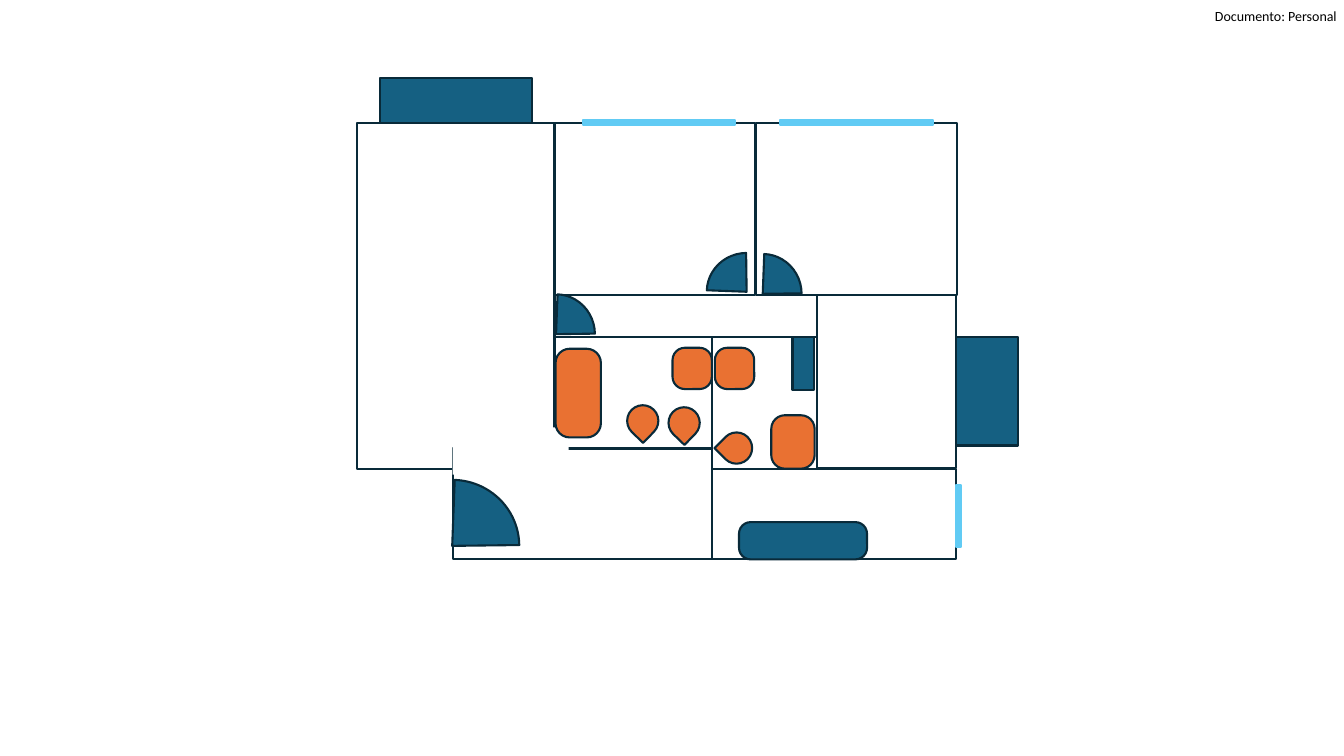
from pptx import Presentation
from pptx.dml.color import RGBColor
from pptx.enum.shapes import MSO_SHAPE as Shape
from pptx.util import Pt

EMU_PER_PX = 9144  # 100 px to the inch

WALL = RGBColor(0x09, 0x2A, 0x39)
BLUE = RGBColor(0x15, 0x60, 0x82)
ORANGE = RGBColor(0xE9, 0x71, 0x32)
SKY = RGBColor(0x61, 0xCB, 0xF4)
WHITE = RGBColor(0xFF, 0xFF, 0xFF)
BLACK = RGBColor(0, 0, 0)

LABEL = "Documento: Personal"
LABEL_BOX = (1205, 7, 125, 17)

CORNER = [0.313]
DOOR_SWING = [55.299, 107.568]  # quarter circle

# Boxes are left, top, width, height in px
ROOMS = [
    (750, 122, 199, 171),
    (810, 293, 138, 171),
    (706, 334, 104, 131),
    (550, 122, 199, 171),
    (354, 122, 196, 343),
    (449, 444, 257, 111),
    (706, 465, 242, 90),
    (550, 334, 156, 111),
]
OPENING = (449, 424, 115, 47)
BLUE_BLOCKS = [
    (948, 334, 62, 108),
    (377, 77, 151, 45),
    (786, 334, 21, 53),
]
WINDOWS = [
    (578, 119, 151, 5),
    (774, 119, 151, 5),
    (948, 481, 5, 62),
]
SOFA = (733, 518, 127, 37)
ORANGE_FURNITURE = [
    (551, 346, 45, 88),
    (667, 345, 39, 41),
    (709, 345, 39, 41),
    (765, 412, 43, 53),
]
# Box, rotation in degrees
BASINS = [
    ((622, 402, 31, 31), 134.1),
    ((663, 404, 31, 31), 134.1),
    ((715, 429, 31, 31), 225),
]
DOORS = [
    ((382, 476, 133, 131), 180),
    ((513, 292, 77, 79), 180),
    ((702, 250, 77, 79), 90),
    ((718, 252, 77, 79), 180),
]


def px(*lengths):
    return [n * EMU_PER_PX for n in lengths]


def add_part(slide, kind, box, fill=None, line=WALL, rotation=0, adjust=()):
    """Add one part of the plan; None leaves the fill or line empty."""
    sp = slide.shapes.add_shape(kind, *px(*box))
    sp.shadow.inherit = False
    sp.rotation = rotation
    for i, value in enumerate(adjust):
        sp.adjustments[i] = value
    if fill is None:
        sp.fill.background()
    else:
        sp.fill.solid()
        sp.fill.fore_color.rgb = fill
    if line is None:
        sp.line.fill.background()
    else:
        sp.line.color.rgb = line
        sp.line.width = Pt(1.5)


def add_label(slide):
    tf = slide.shapes.add_textbox(*px(*LABEL_BOX)).text_frame
    tf.margin_left = tf.margin_right = tf.margin_top = tf.margin_bottom = 0
    tf.word_wrap = False
    p = tf.paragraphs[0]
    p.text = LABEL
    p.font.name = "Calibri"
    p.font.size = Pt(10)
    p.font.color.rgb = BLACK


def main():
    prs = Presentation()
    prs.slide_width, prs.slide_height = px(1333, 750)
    slide = prs.slides.add_slide(prs.slide_layouts[6])

    add_label(slide)
    for box in ROOMS:
        add_part(slide, Shape.RECTANGLE, box)
    add_part(slide, Shape.RECTANGLE, OPENING, WHITE, None)
    for box, rotation in DOORS:
        add_part(slide, Shape.PIE, box, BLUE, rotation=rotation, adjust=DOOR_SWING)
    for box, rotation in BASINS:
        add_part(slide, Shape.TEAR, box, ORANGE, rotation=rotation)
    for box in ORANGE_FURNITURE:
        add_part(slide, Shape.ROUNDED_RECTANGLE, box, ORANGE, adjust=CORNER)
    add_part(slide, Shape.ROUNDED_RECTANGLE, SOFA, BLUE, adjust=CORNER)
    for box in BLUE_BLOCKS:
        add_part(slide, Shape.RECTANGLE, box, BLUE)
    for box in WINDOWS:
        add_part(slide, Shape.RECTANGLE, box, SKY, SKY)

    prs.save("out.pptx")


if __name__ == "__main__":
    main()
